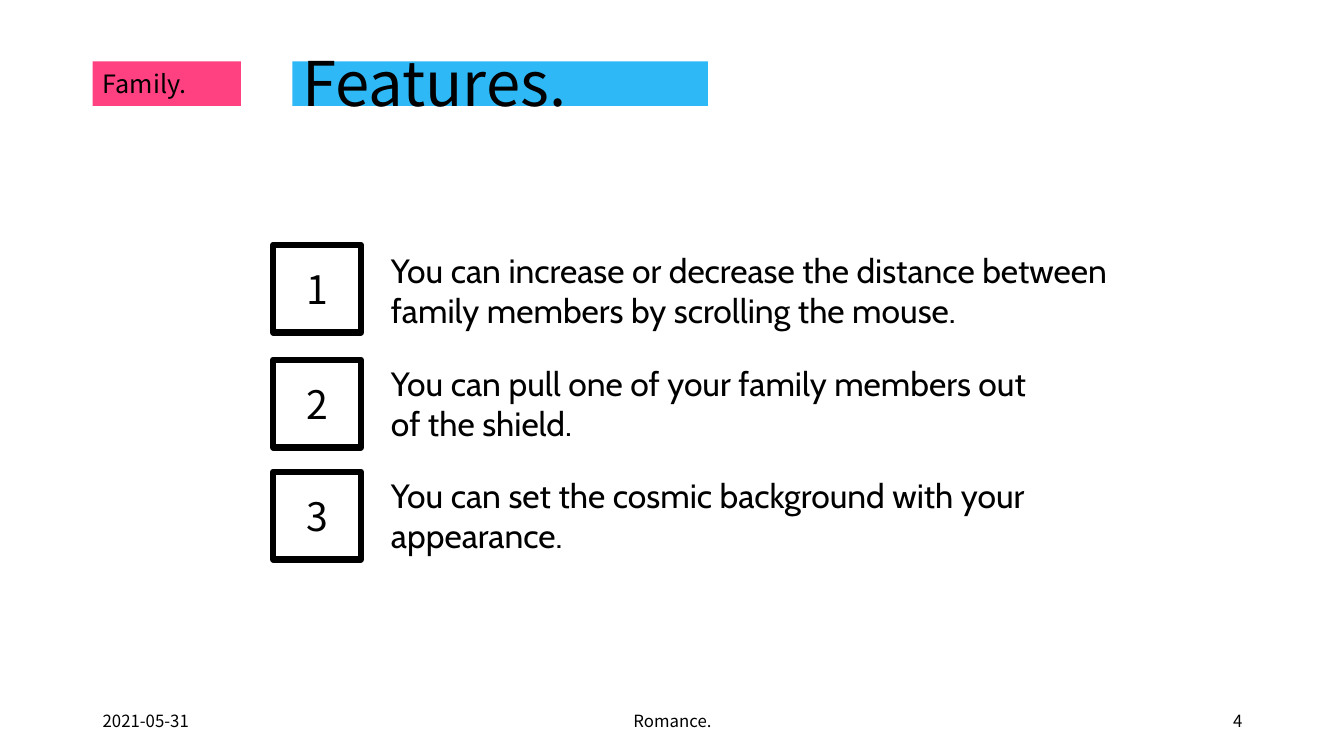
"""Build the Features slide with three numbered points."""
from pptx import Presentation
from pptx.dml.color import RGBColor
from pptx.enum.shapes import MSO_SHAPE
from pptx.enum.text import MSO_ANCHOR, PP_ALIGN
from pptx.util import Inches, Pt

RECTANGLE = MSO_SHAPE.RECTANGLE
TOP, MIDDLE = MSO_ANCHOR.TOP, MSO_ANCHOR.MIDDLE
LEFT, CENTER, RIGHT = PP_ALIGN.LEFT, PP_ALIGN.CENTER, PP_ALIGN.RIGHT
COLORS = {"pink": "FF4081", "blue": "2EB8F6", "black": "000000"}
HEADING_FONT, BODY_FONT = "Noto Sans CJK KR", "Cabin"

presentation = Presentation()
presentation.slide_width = Inches(13.33)
presentation.slide_height = Inches(7.5)
slide = presentation.slides.add_slide(presentation.slide_layouts[6])


def add_rectangle(left, top, width, height):
    shape = slide.shapes.add_shape(
        RECTANGLE, Inches(left), Inches(top), Inches(width), Inches(height))
    shape.shadow.inherit = False
    return shape


def write(shape, text, size, font=HEADING_FONT, align=LEFT, anchor=MIDDLE, spacing=1.0):
    text_frame = shape.text_frame
    text_frame.text = text
    text_frame.word_wrap = True
    text_frame.vertical_anchor = anchor
    paragraph = text_frame.paragraphs[0]
    paragraph.alignment = align
    paragraph.line_spacing = spacing
    paragraph.font.size = Pt(size)
    paragraph.font.name = font
    paragraph.font.color.rgb = RGBColor.from_string(COLORS["black"])


for left, width, color in [(0.92, 1.47, "pink"), (2.9, 4.12, "blue")]:
    band = add_rectangle(left, 0.61, width, 0.44)
    band.fill.solid()
    band.fill.fore_color.rgb = RGBColor.from_string(COLORS[color])
    band.line.fill.background()

headings = [
    ("Features.", 2.9, 9.51, 44, 0.9),
    ("Family.", 0.92, 1.82, 18, 0.7),
]
for text, left, width, size, spacing in headings:
    heading = slide.shapes.add_textbox(Inches(left), Inches(0.4), Inches(width), Inches(0.92))
    write(heading, text, size, spacing=spacing)

footers = [
    ("2021-05-31", 0.92, 3, LEFT),
    ("Romance.", 4.42, 4.5, CENTER),
    ("4", 9.42, 3, RIGHT),
]
for text, left, width, align in footers:
    footer = slide.shapes.add_textbox(Inches(left), Inches(6.95), Inches(width), Inches(0.4))
    write(footer, text, 12, align=align)

features = [
    ("You can increase or decrease the distance between family members by scrolling the mouse.",
     2.43, 2.43, 7.43),
    ("You can pull one of your family members out of the shield.", 3.55, 3.57, 6.84),
    ("You can set the cosmic background with your appearance.", 4.66, 4.68, 6.84),
]
for number, (text, text_top, box_top, width) in enumerate(features, start=1):
    description = slide.shapes.add_textbox(
        Inches(3.78), Inches(text_top), Inches(width), Inches(0.91))
    write(description, text, 24, font=BODY_FONT, anchor=TOP)

    number_box = add_rectangle(2.71, box_top, 0.87, 0.87)
    number_box.fill.background()
    number_box.line.color.rgb = RGBColor.from_string(COLORS["black"])
    number_box.line.width = Pt(4.5)
    write(number_box, str(number), 28, align=CENTER)

presentation.save("out.pptx")
